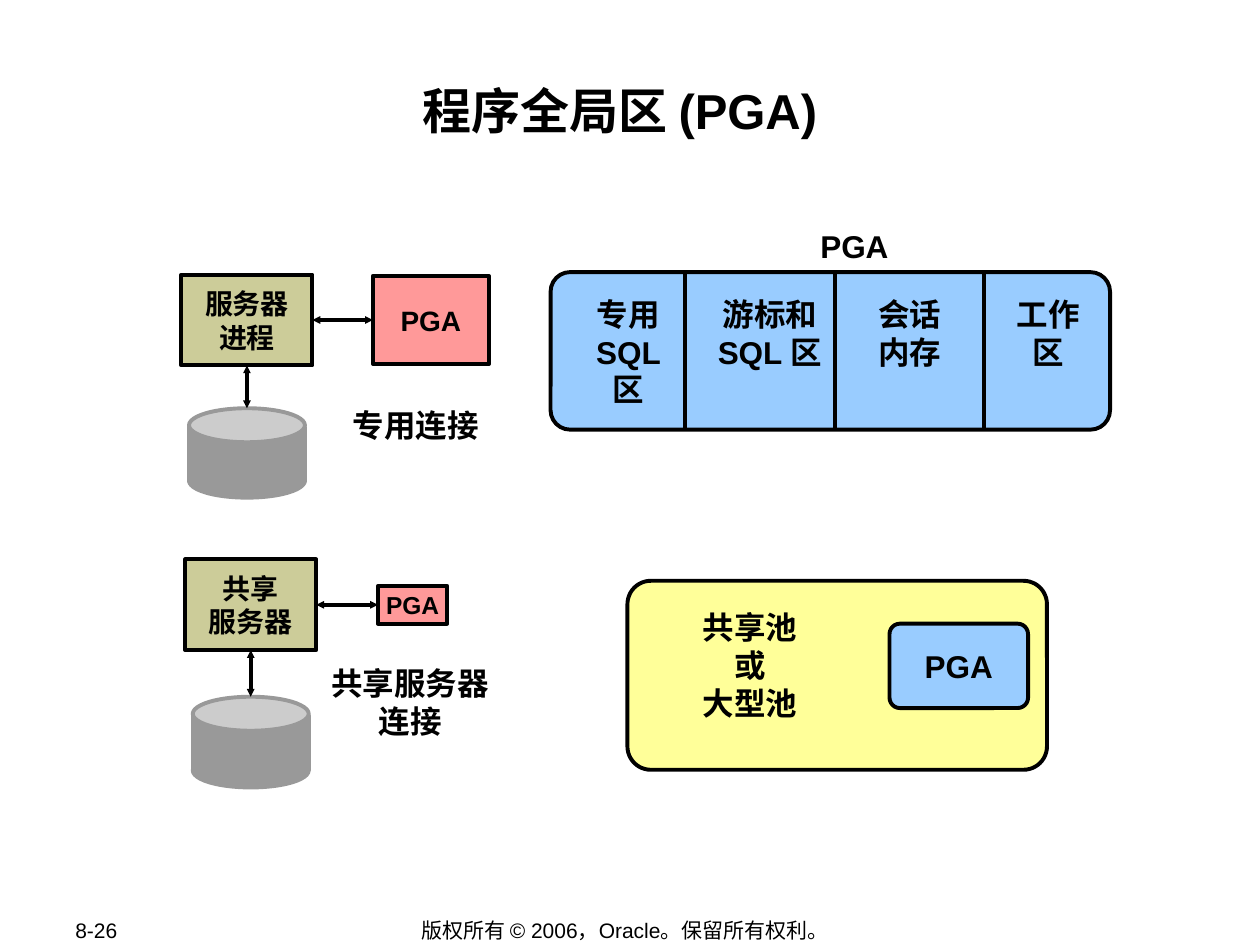
from dataclasses import dataclass

from lxml import etree
from pptx import Presentation
from pptx.dml.color import RGBColor
from pptx.enum import shapes, text
from pptx.oxml.ns import qn
from pptx.util import Inches, Pt


@dataclass(frozen=True)
class Theme:
    latin: str = "Arial"
    east_asian: str = "Noto Sans CJK SC"
    ink: str = "000000"
    server: str = "CCCC99"
    private: str = "FF9999"
    area: str = "99CCFF"
    pool: str = "FFFF99"
    disk: str = "999999"
    disk_top: str = "CCCCCC"
    title: int = 28
    label: int = 18
    node: int = 16
    small: int = 14
    footer: int = 12
    line: float = 2.25
    corner: float = 0.124


RECT = shapes.MSO_SHAPE.RECTANGLE
ROUND = shapes.MSO_SHAPE.ROUNDED_RECTANGLE
OVAL = shapes.MSO_SHAPE.OVAL
TOP, LEFT, BOTTOM, RIGHT = range(4)


class Diagram:
    def __init__(self, slide, theme):
        self.slide = slide
        self.theme = theme

    def set_text(self, shape, words, size, bold=True, wrap=False, align="CENTER",
                 anchor="TOP", insets=(0.1, 0.05, 0.1, 0.05), spacing=1.0):
        frame = shape.text_frame
        frame.text = words
        sides = ("margin_left", "margin_top", "margin_right", "margin_bottom")
        settings = dict(zip(sides, map(Inches, insets)))
        settings |= {
            "word_wrap": wrap,
            "auto_size": text.MSO_AUTO_SIZE.NONE,
            "vertical_anchor": getattr(text.MSO_ANCHOR, anchor),
        }
        for name, value in settings.items():
            setattr(frame, name, value)
        for paragraph in frame.paragraphs:
            paragraph.alignment = getattr(text.PP_ALIGN, align)
            paragraph.line_spacing = spacing
            paragraph.space_before = Pt(0)
            for run in paragraph.runs:
                run.font.color.rgb = RGBColor.from_string(self.theme.ink)
                font = {"size": Pt(size), "bold": bold, "name": self.theme.latin}
                for name, value in font.items():
                    setattr(run.font, name, value)
                east_asian = etree.SubElement(run._r.get_or_add_rPr(), qn("a:ea"))
                east_asian.set("typeface", self.theme.east_asian)

    def title(self, words, box):
        shape = self.slide.shapes.title
        for name, value in zip(("left", "top", "width", "height"), box):
            setattr(shape, name, Inches(value))
        self.set_text(shape, words, self.theme.title, wrap=True,
                      insets=(0.01,) * 4, spacing=1.1)

    def label(self, words, box, size=None, **style):
        shape = self.slide.shapes.add_textbox(*map(Inches, box))
        self.set_text(shape, words, size or self.theme.label, **style)

    def block(self, kind, box, fill, line=None, words="", size=None):
        shape = self.slide.shapes.add_shape(kind, *map(Inches, box))
        shape.shadow.inherit = False
        shape.fill.solid()
        shape.fill.fore_color.rgb = RGBColor.from_string(fill)
        shape.line.color.rgb = RGBColor.from_string(line or self.theme.ink)
        shape.line.width = Pt(self.theme.line)
        if kind == ROUND:
            shape.adjustments[0] = self.theme.corner
        if words:
            self.set_text(shape, words, size or self.theme.node, anchor="MIDDLE",
                          insets=(0.05,) * 4)
        return shape

    def line(self, start=(0, 0), end=(0, 0)):
        connector = self.slide.shapes.add_connector(
            shapes.MSO_CONNECTOR.STRAIGHT, *map(Inches, (*start, *end)))
        connector.line.color.rgb = RGBColor.from_string(self.theme.ink)
        connector.line.width = Pt(self.theme.line)
        etree.SubElement(connector._element.spPr, qn("a:effectLst"))
        return connector

    def arrow(self, source, source_side, target, target_side):
        connector = self.line()
        connector.begin_connect(source, source_side)
        connector.end_connect(target, target_side)
        outline = connector._element.spPr.find(qn("a:ln"))
        for end in ("a:headEnd", "a:tailEnd"):
            etree.SubElement(outline, qn(end), type="triangle", w="sm", len="sm")

    def cylinder(self, left, top, depth):
        theme = self.theme
        self.block(RECT, (left, top + 0.15, 0.92, 0.43), theme.disk, theme.disk)
        lid = self.block(OVAL, (left, top, 0.92, 0.27), theme.disk_top, theme.disk)
        self.block(OVAL, (left, top + depth, 0.92, 0.27), theme.disk, theme.disk)
        return lid

    def connection(self, server_words, server_at, private_box, private_words,
                   private_size, disk_at, disk_depth):
        theme = self.theme
        server = self.block(RECT, (*server_at, 1.04, 0.72), theme.server,
                            words=server_words)
        private = self.block(RECT, private_box, theme.private,
                             words=private_words, size=private_size)
        lid = self.cylinder(*disk_at, disk_depth)
        self.arrow(private, LEFT, server, RIGHT)
        self.arrow(server, BOTTOM, lid, TOP)


def main():
    presentation = Presentation()
    presentation.slide_width = Inches(10)
    presentation.slide_height = Inches(7.5)
    theme = Theme()
    slide = presentation.slides.add_slide(presentation.slide_layouts[5])
    diagram = Diagram(slide, theme)

    footer = {"size": theme.footer, "bold": False, "anchor": "MIDDLE"}
    diagram.label("8-26", (0.5, 7.28, 1.06, 0.2), align="LEFT", **footer)
    diagram.label("版权所有 © 2006，Oracle。保留所有权利。",
                  (2.76, 7.28, 4.4, 0.21), **footer)
    diagram.title("程序全局区 (PGA)", (0.92, 0.58, 8, 0.96))

    diagram.connection("服务器\n进程", (1.44, 2.18), (2.96, 2.19, 0.92, 0.7),
                       "PGA", theme.node, (1.5, 3.24), 0.44)
    diagram.label("专用连接", (2.7, 3.17, 1.2, 0.4))
    diagram.connection("共享\n服务器", (1.47, 4.44), (3, 4.65, 0.55, 0.3),
                       "PGA", theme.small, (1.53, 5.53), 0.45)
    diagram.label("共享服务器\v连接", (2.53, 5.22, 1.45, 0.7))

    indented = {"wrap": True, "insets": (0.3, 0.05, 0.1, 0.05)}
    diagram.label("PGA", (6.17, 1.75, 1.05, 0.4), align="LEFT",
                  insets=(0.34, 0.05, 0, 0.05))
    top, height = 2.16, 1.25
    diagram.block(ROUND, (4.37, top, 4.44, height), theme.area)
    for index in range(3):
        x = 5.44 + 1.185 * index
        diagram.line((x, top), (x, top + height))
    areas = (
        ("专用SQL 区", 4.3, 1.17, 0.7),
        ("游标和 SQL 区", 5.3, 1.42, 0.7),
        ("会话\n内存", 6.58, 1.08, 0.7),
        ("工作区", 7.68, 1.08, 0.4),
    )
    for words, left, width, box_height in areas:
        diagram.label(words, (left, 2.29, width, box_height), **indented)

    diagram.block(ROUND, (4.98, 4.61, 3.33, 1.5), theme.pool)
    diagram.label("共享池\v或\v大型池", (4.89, 4.78, 1.92, 1), **indented)
    diagram.block(ROUND, (7.06, 4.95, 1.1, 0.67), theme.area,
                  words="PGA", size=theme.label)

    presentation.save("out.pptx")


if __name__ == "__main__":
    main()
